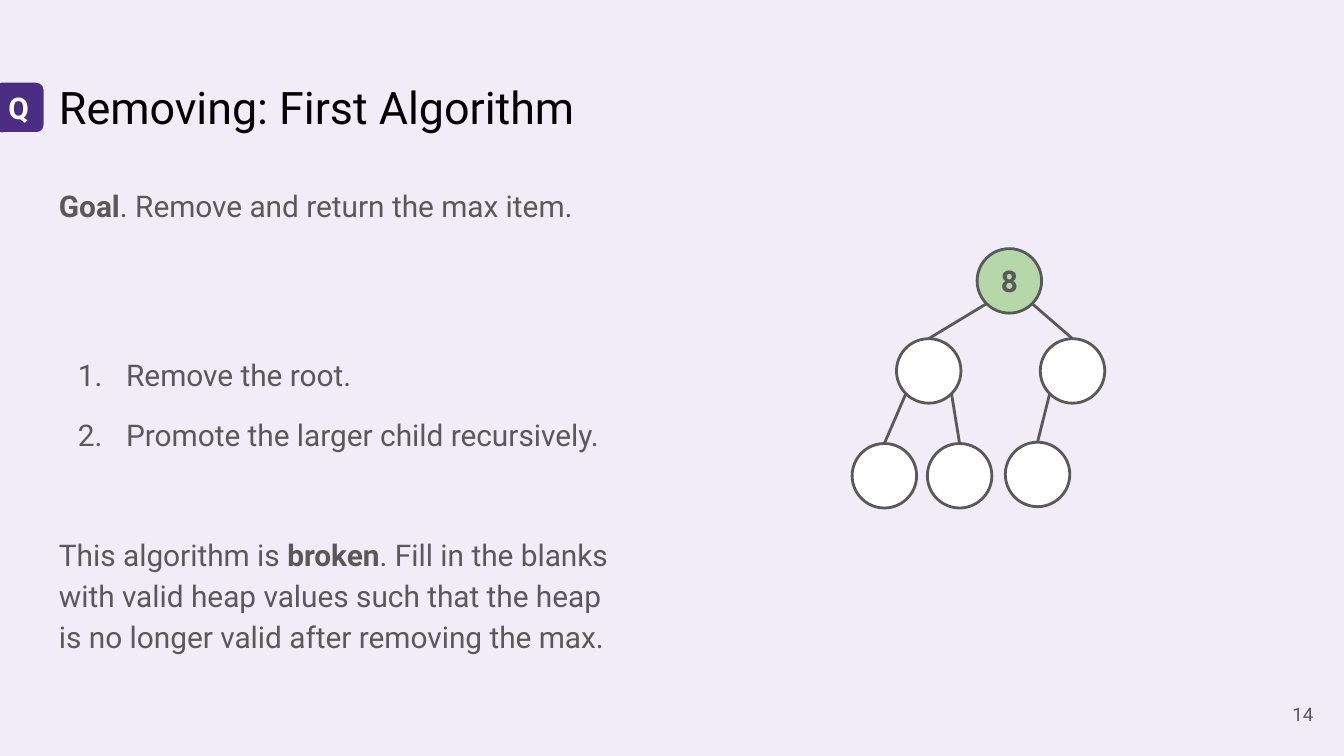
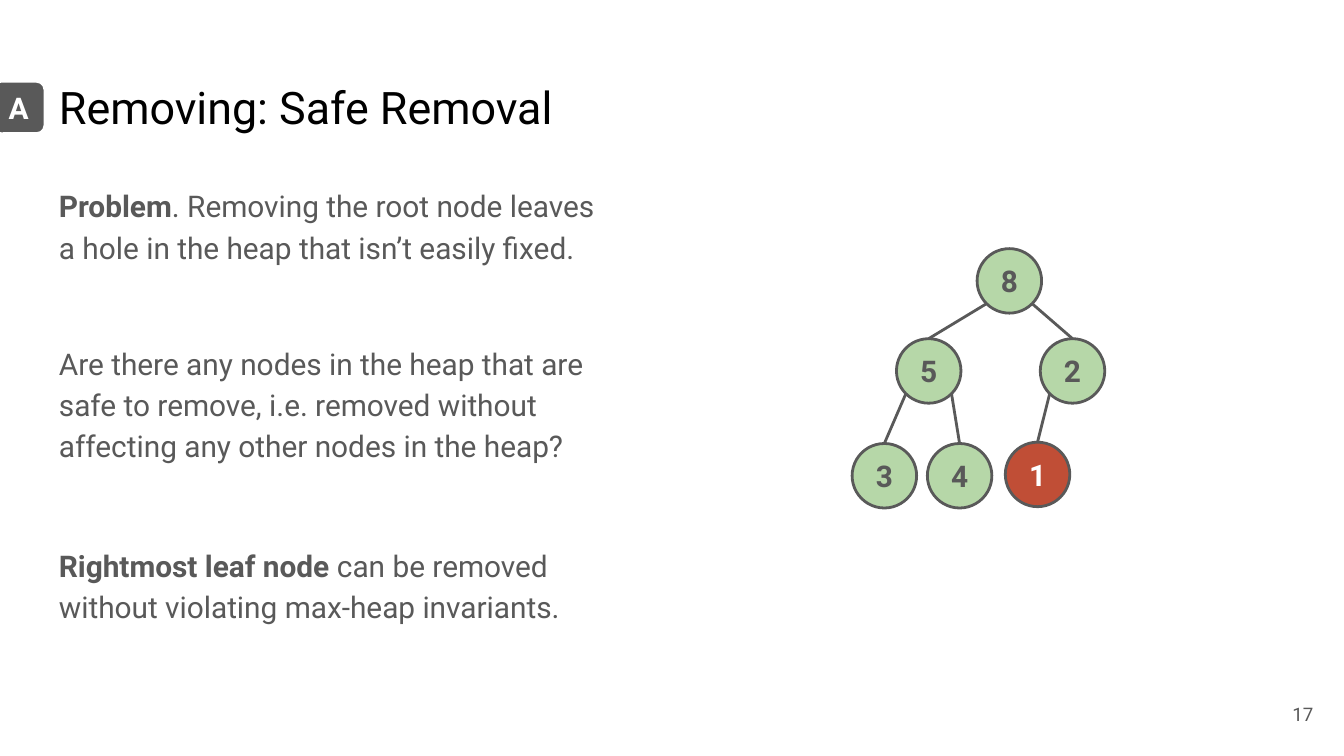
import dataclasses

import lxml.etree
import pptx
import pptx.dml.color
import pptx.enum.shapes
import pptx.enum.text
import pptx.oxml.ns
import pptx.util

Inches = pptx.util.Inches
Pt = pptx.util.Pt
Align = pptx.enum.text.PP_ALIGN
Anchor = pptx.enum.text.MSO_ANCHOR
Shape = pptx.enum.shapes.MSO_SHAPE
qn = pptx.oxml.ns.qn


@dataclasses.dataclass(frozen=True)
class Theme:
    font: str = "Roboto"
    black: str = "000000"
    white: str = "FFFFFF"
    gray: str = "595959"
    lilac: str = "F0ECF8"
    purple: str = "4B2E83"
    green: str = "B6D7A8"
    red: str = "C04E36"
    title: int = 24
    body: int = 16
    small: int = 10
    edge: float = 1.5
    rim: float = 2.25
    lead: float = 1.15


THEME = Theme()
TITLE = (0.34, 0.49, 4.32, 0.63)
BODY = (0.34, 1.26, 4.32, 3.74)
NUMBER = (9.27, 5.1, 0.6, 0.43)
BADGE = (-0.06, 0.6, 0.4, 0.4)
TREE = (6.34, 1.85)
SIZE = 0.48
REACH = 0.17
NODES = [(0.93, 0), (0.33, 0.67), (1.4, 0.67), (0, 1.45), (0.56, 1.45), (1.14, 1.44)]


def tint(code):
    return pptx.dml.color.RGBColor.from_string(code)


def add_run(para, text, size, color, bold=False):
    run = para.add_run()
    run.text = text
    font = run.font
    font.name, font.size, font.bold = THEME.font, Pt(size), bold
    font.color.rgb = tint(color)


def set_frame(frame, anchor):
    frame.word_wrap = True
    frame.vertical_anchor = anchor
    frame.margin_left = frame.margin_right = Inches(0.1)
    frame.margin_top = frame.margin_bottom = Inches(0.1)


def add_text(slide, box, anchor=Anchor.TOP):
    frame = slide.shapes.add_textbox(*map(Inches, box)).text_frame
    set_frame(frame, anchor)
    return frame


def add_mark(shapes, kind, box, fill, line, width, label, color):
    shape = shapes.add_shape(kind, *map(Inches, box))
    shape.shadow.inherit = False
    shape.fill.solid()
    shape.fill.fore_color.rgb = tint(fill)
    shape.line.color.rgb = tint(line)
    shape.line.width = Pt(width)
    set_frame(shape.text_frame, Anchor.MIDDLE)
    if label:
        para = shape.text_frame.paragraphs[0]
        para.alignment = Align.CENTER
        add_run(para, label, THEME.body, color, True)
    return shape


def set_step(para):
    props = para._p.get_or_add_pPr()
    props.set("marL", str(Inches(0.5)))
    props.set("indent", str(-Inches(0.36)))
    color = lxml.etree.SubElement(props, qn("a:buClr"))
    lxml.etree.SubElement(color, qn("a:srgbClr"), val=THEME.gray)
    lxml.etree.SubElement(props, qn("a:buAutoNum"), type="arabicPeriod")


def add_body(slide, box, paras):
    frame = add_text(slide, box)
    for index, (gap, step, runs) in enumerate(paras):
        para = frame.add_paragraph() if index else frame.paragraphs[0]
        para.line_spacing = THEME.lead
        para.space_before = Pt(gap)
        if step:
            set_step(para)
        for text, bold in runs:
            add_run(para, text, THEME.body, THEME.gray, bold)


def add_head(slide, box, title):
    para = add_text(slide, box).paragraphs[0]
    add_run(para, title, THEME.title, THEME.black)


def add_number(slide, box, number):
    para = add_text(slide, box, Anchor.MIDDLE).paragraphs[0]
    para.alignment = Align.RIGHT
    add_run(para, number, THEME.small, THEME.gray)


def add_badge(slide, box, letter, fill, back):
    add_mark(slide.shapes, Shape.ROUNDED_RECTANGLE, box, fill, back,
             THEME.rim, letter, THEME.white)


def add_edge(shapes, start, side, child):
    x = start.left + start.width // 2 + side * Inches(REACH)
    y = start.top + start.height // 2 + Inches(REACH)
    edge = shapes.add_connector(
        pptx.enum.shapes.MSO_CONNECTOR.STRAIGHT, x, y,
        child.left + child.width // 2, child.top)
    edge.end_connect(child, 0)
    edge.line.color.rgb = tint(THEME.gray)
    edge.line.width = Pt(THEME.edge)
    lxml.etree.SubElement(edge._element.spPr, qn("a:effectLst"))


def add_tree(slide, origin, labels, last):
    shapes = slide.shapes.add_group_shape().shapes
    left, top = origin
    nodes = []
    for index, ((x, y), label) in enumerate(zip(NODES, labels)):
        fill = THEME.green if label else THEME.white
        color = THEME.gray
        if last and index == len(NODES) - 1:
            fill, color = THEME.red, THEME.white
        box = (left + x, top + y, SIZE, SIZE)
        nodes.append(add_mark(shapes, Shape.OVAL, box, fill, THEME.gray,
                              THEME.edge, label, color))
    for index in range(1, len(nodes)):
        side = -1 if index % 2 else 1
        add_edge(shapes, nodes[(index - 1) // 2], side, nodes[index])


def add_slide(deck, title, letter, fill, back, number, paras, labels, last=False):
    slide = deck.slides.add_slide(deck.slide_layouts[6])
    slide.background.fill.solid()
    slide.background.fill.fore_color.rgb = tint(back)
    add_head(slide, TITLE, title)
    add_body(slide, BODY, paras)
    add_number(slide, NUMBER, number)
    add_tree(slide, TREE, labels, last)
    add_badge(slide, BADGE, letter, fill, back)


def main():
    deck = pptx.Presentation()
    deck.slide_width = Inches(10)
    deck.slide_height = Inches(10) * 9 // 16
    add_slide(
        deck, "Removing: First Algorithm", "Q", THEME.purple, THEME.lilac, "14",
        [
            (0, False, [("Goal", True), (". Remove and return the max item.", False)]),
            (68.4, True, [("Remove the root.", False)]),
            (10, True, [("Promote the larger child recursively.", False)]),
            (42, False, [
                ("This algorithm is ", False), ("broken", True),
                (". Fill in the blanks with valid heap values such that the heap "
                 "is no longer valid after removing the max.", False)]),
        ],
        ["8", "", "", "", "", ""])
    add_slide(
        deck, "Removing: Safe Removal", "A", THEME.gray, THEME.white, "17",
        [
            (0, False, [
                ("Problem", True),
                (". Removing the root node leaves a hole in the heap "
                 "that isn’t easily fixed.", False)]),
            (40.2, False, [
                ("Are there any nodes in the heap that are safe to remove, i.e. "
                 "removed without affecting any other nodes in the heap?", False)]),
            (42.2, False, [
                ("Rightmost leaf node", True),
                (" can be removed without violating max-heap invariants.", False)]),
        ],
        ["8", "5", "2", "3", "4", "1"], True)
    deck.save("out.pptx")


if __name__ == "__main__":
    main()
